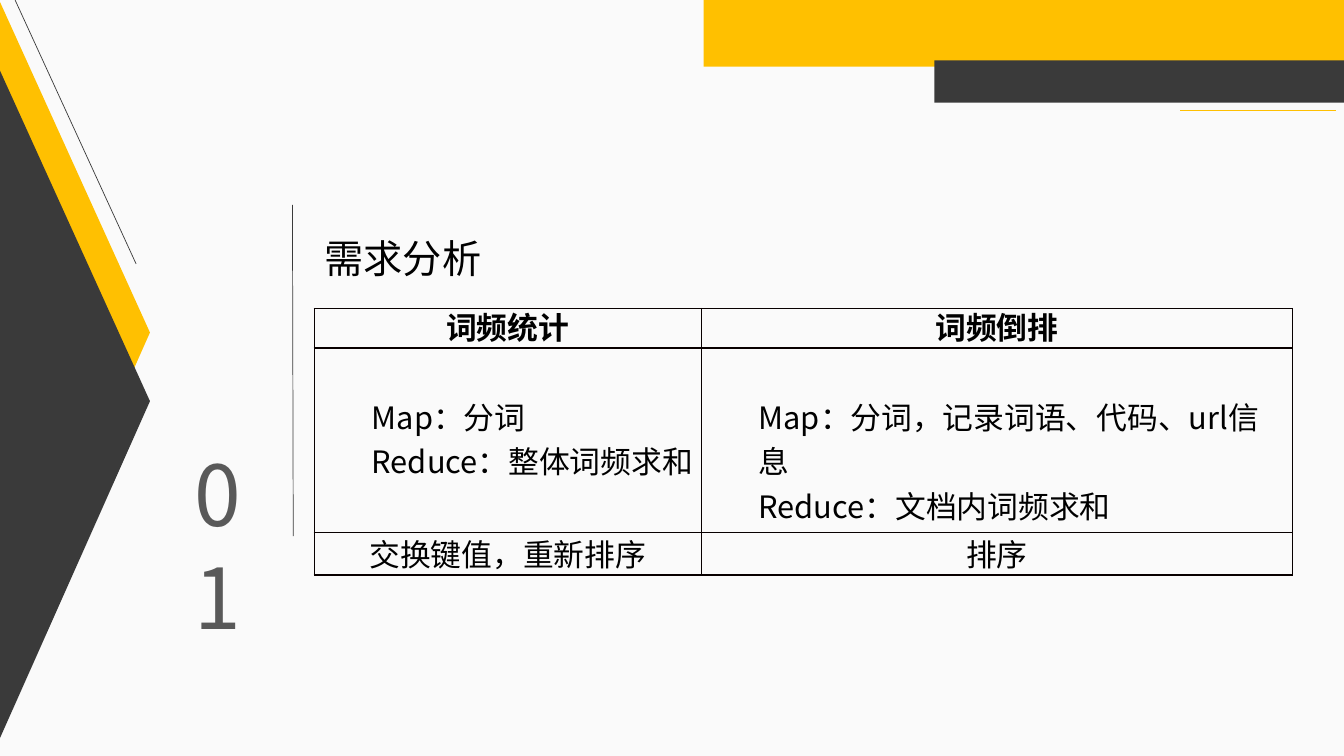
from lxml.etree import SubElement, Element
from pptx import Presentation
from pptx.dml.color import RGBColor
from pptx.enum.shapes import MSO_CONNECTOR as Connector, MSO_SHAPE as Shape
from pptx.enum.text import MSO_ANCHOR as Anchor, PP_ALIGN as Align
from pptx.oxml.ns import qn
from pptx.util import Cm, Pt

YELLOW, DARK, BLACK = "FFC001", "3A3A3A", "000000"
CJK = "Noto Sans CJK SC"

HEADING = "需求分析"
SECTION_NUMBER = "01"
STEPS = [
    (["词频统计"], ["词频倒排"]),
    (["Map：分词", "Reduce：整体词频求和"],
     ["Map：分词，记录词语、代码、url信息", "Reduce：文档内词频求和"]),
    (["交换键值，重新排序"], ["排序"]),
]
COLUMN_WIDTHS = [9.75, 14.91]
ROW_HEIGHTS = [1, 4.65, 1.07]
DETAIL_ROW = 1

CHEVRONS = [
    ([(0, 0.05), (3.78, 8.38), (0, 16.89)], YELLOW),
    ([(0, 1.78), (3.78, 10.11), (0, 18.6)], DARK),
]
BANNERS = [
    ((17.73, 0, 16.14, 1.68), "FFC000"),
    ((23.55, 1.52, 10.32, 1.07), DARK),
]
RULES = [
    ((3.43, 6.65, 0.38, 0), DARK),
    ((7.37, 5.16, 7.39, 13.51), DARK),
    ((29.74, 2.77, 33.68, 2.77), YELLOW),
]


def color(value):
    return RGBColor.from_string(value)


def paint(shape, value):
    shape.shadow.inherit = False
    shape.fill.solid()
    shape.fill.fore_color.rgb = color(value)
    shape.line.fill.background()


def style(paragraph, size, face, value, bold=False):
    font = paragraph.font
    font.size = Pt(size)
    font.bold = bold
    font.color.rgb = color(value)
    font.name = face
    defaults = paragraph._p.get_or_add_pPr().find(qn("a:defRPr"))
    SubElement(defaults, qn("a:ea")).set("typeface", CJK)


def set_margins(owner, left, top, right, bottom):
    owner.margin_left, owner.margin_top = Cm(left), Cm(top)
    owner.margin_right, owner.margin_bottom = Cm(right), Cm(bottom)


def add_borders(cell):
    properties = cell._tc.get_or_add_tcPr()
    for position, side in enumerate(("a:lnL", "a:lnR", "a:lnT", "a:lnB")):
        border = Element(qn(side), w=str(Pt(1)))
        fill = SubElement(border, qn("a:solidFill"))
        SubElement(fill, qn("a:srgbClr")).set("val", "080000")
        properties.insert(position, border)


def fill_cell(cell, lines, row):
    detail = row == DETAIL_ROW
    cell.fill.background()
    add_borders(cell)
    cell.vertical_anchor = Anchor.TOP if detail else Anchor.BOTTOM
    set_margins(cell, 1.45 if detail else 0.18, 1.15 if detail else 0, 0.18, 0)
    frame = cell.text_frame
    frame.text = "\n".join(lines)
    for paragraph in frame.paragraphs:
        paragraph.alignment = Align.LEFT if detail else Align.CENTER
        if not detail:
            paragraph.line_spacing = Pt(28)
        style(paragraph, 22, CJK, BLACK, bold=row == 0)


def main():
    deck = Presentation()
    deck.slide_width, deck.slide_height = Cm(33.87), Cm(19.05)
    slide = deck.slides.add_slide(deck.slide_layouts[5])
    slide.background.fill.solid()
    slide.background.fill.fore_color.rgb = color("FAFAFA")
    shapes = slide.shapes

    for corners, value in CHEVRONS:
        start, *others = [(Cm(x), Cm(y)) for x, y in corners]
        outline = shapes.build_freeform(*start)
        outline.add_line_segments(others, close=True)
        paint(outline.convert_to_shape(), value)

    for box, value in BANNERS:
        paint(shapes.add_shape(Shape.RECTANGLE, *map(Cm, box)), value)

    for ends, value in RULES:
        rule = shapes.add_connector(Connector.STRAIGHT, *map(Cm, ends))
        rule.line.color.rgb = color(value)
        rule.line.width = Pt(0.5)
        SubElement(rule._element.spPr, qn("a:effectLst"))

    number = shapes.add_textbox(Cm(4.65), Cm(11), Cm(2.36), Cm(2.82)).text_frame
    number.word_wrap = True
    number.text = SECTION_NUMBER
    number.paragraphs[0].line_spacing = Pt(73)
    style(number.paragraphs[0], 60, "Noto Sans CJK JP", "595959")

    heading = shapes.title
    heading.left, heading.top = Cm(7.92), Cm(5.77)
    heading.width, heading.height = Cm(4.47), Cm(1.45)
    heading.text = HEADING
    heading.text_frame.word_wrap = False
    heading.text_frame.vertical_anchor = Anchor.MIDDLE
    heading.text_frame.paragraphs[0].alignment = Align.CENTER
    style(heading.text_frame.paragraphs[0], 28, "Calibri", BLACK)

    table = shapes.add_table(
        len(STEPS), len(COLUMN_WIDTHS), Cm(7.92), Cm(7.77),
        Cm(sum(COLUMN_WIDTHS)), Cm(sum(ROW_HEIGHTS))).table
    table.first_row = table.horz_banding = False
    for column, width in zip(table.columns, COLUMN_WIDTHS):
        column.width = Cm(width)
    for row, (height, cells) in enumerate(zip(ROW_HEIGHTS, STEPS)):
        table.rows[row].height = Cm(height)
        for column, lines in enumerate(cells):
            fill_cell(table.cell(row, column), lines, row)

    deck.save("out.pptx")


if __name__ == "__main__":
    main()
